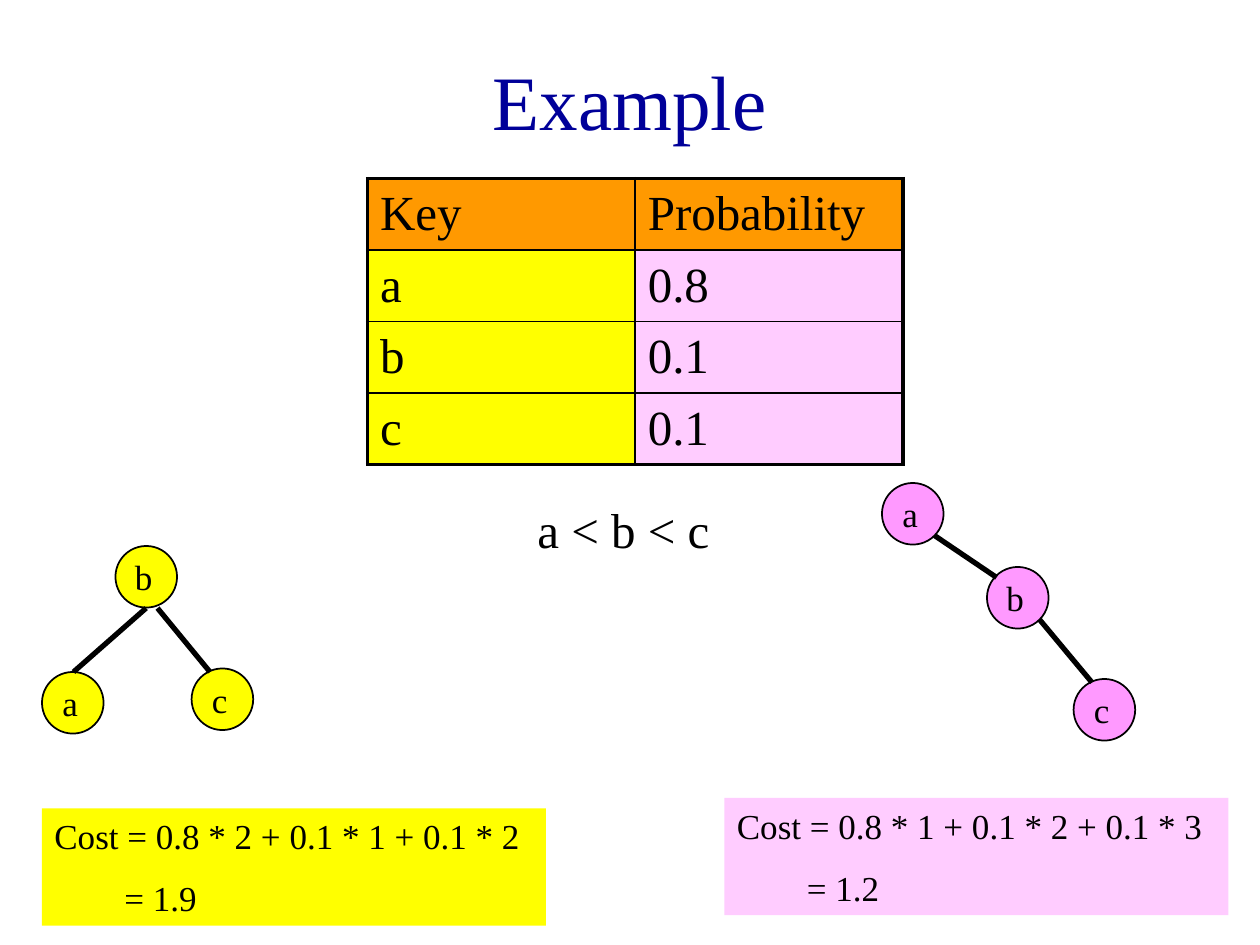
from lxml.etree import SubElement
from pptx import Presentation
from pptx.dml.color import RGBColor
from pptx.enum.shapes import MSO_CONNECTOR, MSO_SHAPE
from pptx.enum.text import MSO_ANCHOR, PP_ALIGN
from pptx.oxml import parse_xml
from pptx.oxml.ns import nsdecls, qn
from pptx.util import Pt

NAVY = RGBColor(0x00, 0x00, 0x99)
BLACK = RGBColor(0x00, 0x00, 0x00)
WHITE = RGBColor(0xFF, 0xFF, 0xFF)
ORANGE = RGBColor(0xFF, 0x99, 0x00)
YELLOW = RGBColor(0xFF, 0xFF, 0x00)
PALE_PINK = RGBColor(0xFF, 0xCC, 0xFF)
PINK = RGBColor(0xFF, 0x99, 0xFF)


class SlideBuilder:
    font_name = "Times New Roman"
    node_size = 35.2
    thin, thick, edge_width = 1, 2.25, 3

    def __init__(self, page):
        self.page = page

    def style(self, para, size, color=BLACK, align=PP_ALIGN.LEFT):
        para.alignment = align
        para.font.name = self.font_name
        para.font.size = Pt(size)
        para.font.color.rgb = color

    def title(self, text, left, top, width, height):
        box = self.page.shapes.add_textbox(Pt(left), Pt(top), Pt(width), Pt(height))
        frame = box.text_frame
        frame.word_wrap = True
        frame.vertical_anchor = MSO_ANCHOR.MIDDLE
        frame.text = text
        self.style(frame.paragraphs[0], 44, NAVY, PP_ALIGN.CENTER)

    def panel(self, lines, left, top, width, height, size, fill):
        """Filled text box; lines after the first are indented."""
        box = self.page.shapes.add_textbox(Pt(left), Pt(top), Pt(width), Pt(height))
        box.fill.solid()
        box.fill.fore_color.rgb = fill
        frame = box.text_frame
        frame.word_wrap = True
        frame.text = "\n".join(lines)
        for index, para in enumerate(frame.paragraphs):
            self.style(para, size)
            if index:
                para.space_before = Pt(11.5)
                para._p.get_or_add_pPr().set("marL", str(Pt(40)))

    def node(self, letter, left, top, fill):
        size = Pt(self.node_size)
        circle = self.page.shapes.add_shape(MSO_SHAPE.OVAL, Pt(left), Pt(top), size, size)
        circle.shadow.inherit = False
        circle.fill.solid()
        circle.fill.fore_color.rgb = fill
        circle.line.color.rgb = BLACK
        circle.line.width = Pt(self.thin)
        frame = circle.text_frame
        frame.word_wrap = False
        frame.vertical_anchor = MSO_ANCHOR.MIDDLE
        frame.margin_left = frame.margin_top = frame.margin_bottom = 0
        frame.margin_right = Pt(3)
        frame.text = letter
        self.style(frame.paragraphs[0], 20, align=PP_ALIGN.CENTER)

    def edge(self, x1, y1, x2, y2):
        line = self.page.shapes.add_connector(
            MSO_CONNECTOR.STRAIGHT, Pt(x1), Pt(y1), Pt(x2), Pt(y2))
        line.line.color.rgb = BLACK
        line.line.width = Pt(self.edge_width)
        SubElement(line._element.spPr, qn("a:effectLst"))

    def tree(self, nodes, edges, fill):
        for letter, left, top in nodes:
            self.node(letter, left, top, fill)
        for ends in edges:
            self.edge(*ends)

    def borders(self, cell, widths):
        properties = cell._tc.get_or_add_tcPr()
        for index, (side, width) in enumerate(zip("LRTB", widths)):
            properties.insert(index, parse_xml(
                f'<a:ln{side} {nsdecls("a")} w="{Pt(width)}"><a:solidFill>'
                f'<a:srgbClr val="{BLACK}"/></a:solidFill></a:ln{side}>'))

    def table(self, rows, left, top, width, height, header_fill, column_fills):
        last_row, last_column = len(rows) - 1, len(rows[0]) - 1
        table = self.page.shapes.add_table(
            len(rows), len(rows[0]), Pt(left), Pt(top), Pt(width), Pt(height)).table
        for r, row in enumerate(rows):
            for c, text in enumerate(row):
                cell = table.cell(r, c)
                cell.text = text
                cell.vertical_anchor = MSO_ANCHOR.MIDDLE
                cell.fill.solid()
                cell.fill.fore_color.rgb = column_fills[c] if r else header_fill
                para = cell.text_frame.paragraphs[0]
                self.style(para, 28)
                para.font.bold = False
                outer = (c == 0, c == last_column, r == 0, r == last_row)
                self.borders(cell, [self.thick if edge else self.thin for edge in outer])


deck = Presentation()
deck.slide_width, deck.slide_height = Pt(720), Pt(540)
slide = SlideBuilder(deck.slides.add_slide(deck.slide_layouts[6]))

# Title and probability table
slide.title("Example", 54, 12, 612, 90)
slide.table([("Key", "Probability"), ("a", "0.8"), ("b", "0.1"), ("c", "0.1")],
            210, 102, 306, 163.2, ORANGE, (YELLOW, PALE_PINK))

# Key order
slide.panel(["a < b < c"], 300, 282, 114, 41, 28, WHITE)

# Balanced tree
slide.tree([("b", 66, 312), ("a", 24, 384), ("c", 109.5, 382)],
           [(83.5, 347.5, 42, 384), (90, 347.5, 120, 384)], YELLOW)

# Chain tree
slide.tree([("a", 504, 276), ("b", 564, 324), ("c", 613.5, 388)],
           [(534, 306, 569.5, 330), (594, 354, 624, 390)], PINK)

# Costs
slide.panel(["Cost = 0.8 * 2 + 0.1 * 1 + 0.1 * 2", "= 1.9"], 24, 462, 288, 67, 20, YELLOW)
slide.panel(["Cost = 0.8 * 1 + 0.1 * 2 + 0.1 * 3", "= 1.2"], 414, 456, 288, 67, 20, PALE_PINK)

deck.save("out.pptx")
